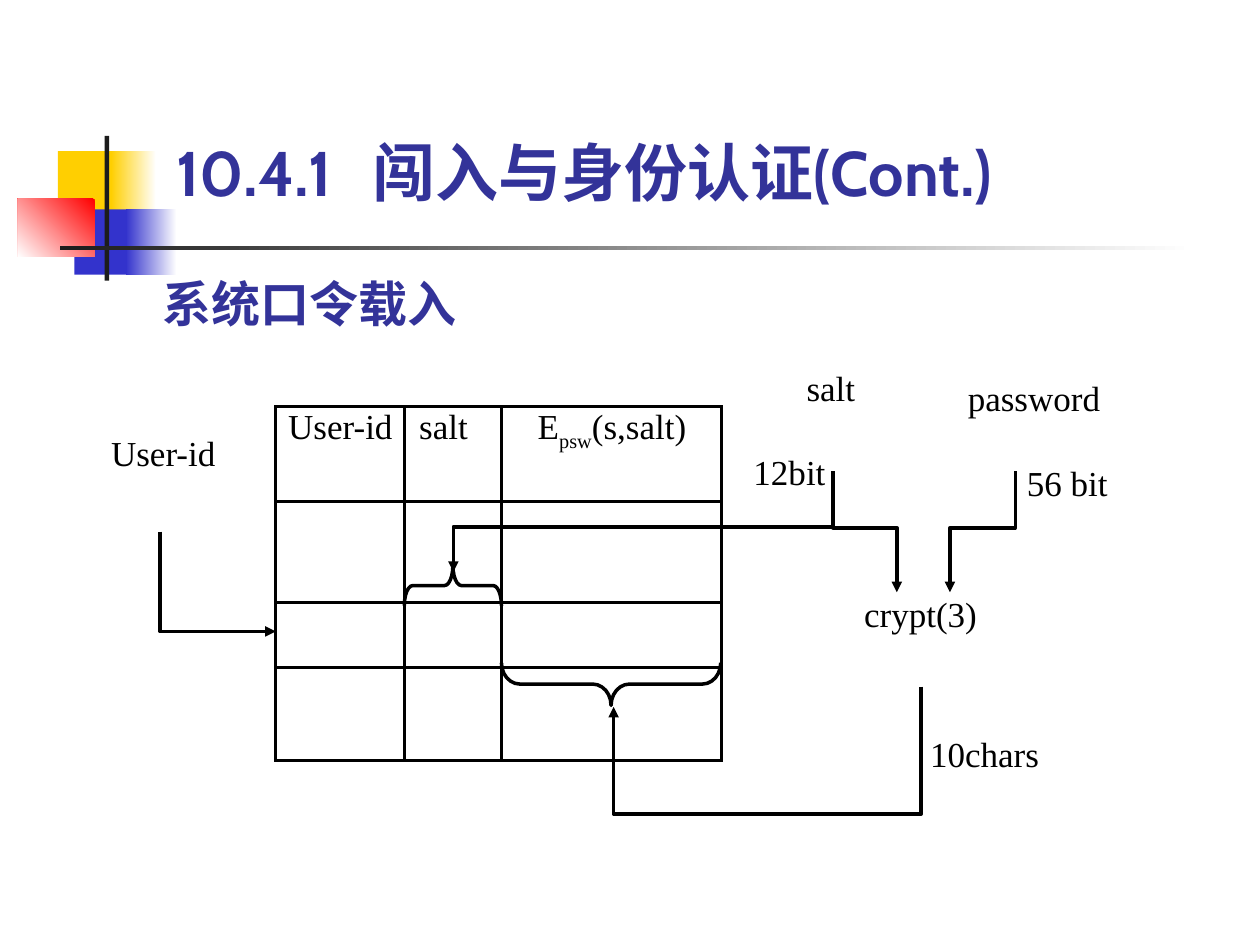
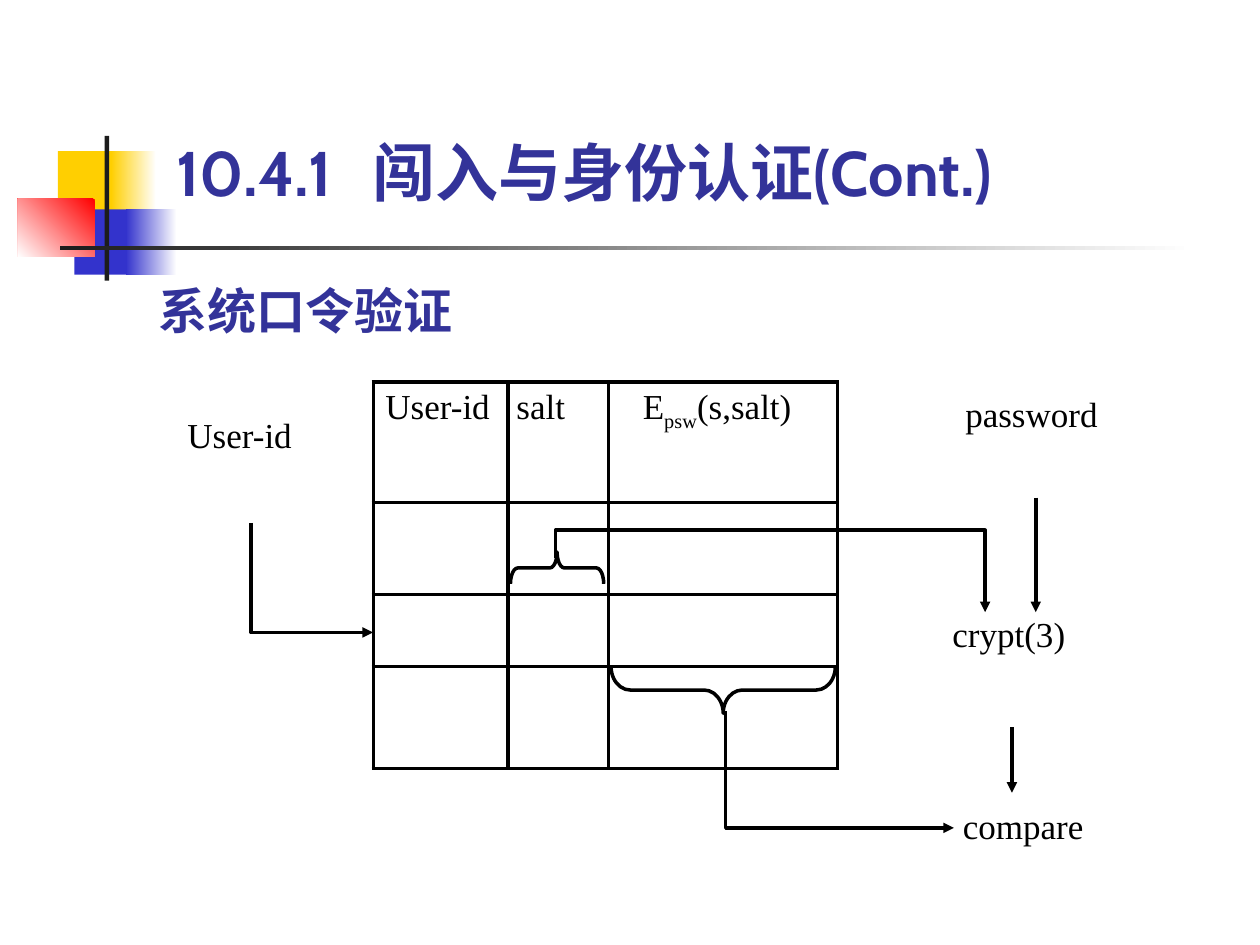
import itertools

import lxml.etree
import pptx
import pptx.dml.color
import pptx.enum.shapes
import pptx.enum.text
import pptx.oxml
import pptx.oxml.ns
import pptx.util

Cm = pptx.util.Cm
Pt = pptx.util.Pt
SHAPE = pptx.enum.shapes.MSO_SHAPE
qn = pptx.oxml.ns.qn

COLORS = {
    "yellow": "FFCF01",
    "blue": "3333CC",
    "red": "FF0000",
    "dark": "1C1C1C",
    "white": "FFFFFF",
    "title": "333399",
    "ink": "000000",
}
TITLE_FONT, BODY_FONT = "Cabin", "Times New Roman"
LINE_WIDTH = Pt(2)
LABEL_HEIGHT = 1.6

TITLE = "10.4.1\t闯入与身份认证(Cont.)"
TITLE_BOX = (3.56, 2.36, 18.52, 1.85)
TITLE_TAB = 3.95
HEADER = [
    [("User-id", 0)],
    [("salt", 0)],
    [("E", 0), ("psw", -25000), ("(s,salt)", 0)],
]

DECOR = [
    ((1.17, 3.05, 1.22, 1.32), ["yellow"], 0),
    ((2.24, 3.05, 0.91, 1.32), ["white", "yellow"], 180),
    ((1.5, 4.22, 1.17, 1.32), ["blue"], 0),
    ((2.54, 4.22, 1.02, 1.32), ["white", "blue"], 180),
    ((0.36, 4.01, 1.55, 1.17), ["red", "white"], 225),
    ((2.11, 2.74, 0.09, 2.92), ["dark"], 0),
    ((1.22, 4.95, 22.86, 0.1), ["white", "dark"], 180),
]

SLIDES = [
    {
        "heading": ("系统口令载入", (3.28, 5.51, 6.91, 1.19)),
        "columns": [5.56, 8.15, 10.11, 14.55],
        "rows": [8.2, 10.11, 12.14, 13.46, 15.34],
        "indents": [0.25, 0.3, 0.73],
        "top_margin": 0.03,
        "labels": [
            ("User-id", 2.24, 8.69, 2.18),
            ("salt", 16.26, 7.39, 1.17),
            ("password", 19.51, 7.59, 2.97),
            ("12bit", 15.19, 9.09, 1.73),
            ("56 bit", 20.7, 9.3, 2.08),
            ("crypt(3)", 17.42, 11.94, 2.41),
            ("10chars", 18.75, 14.76, 2.84),
        ],
        "braces": [
            ((8.15, 11.4, 1.96, 0.81), 90, 0.21),
            ((10.11, 13.36, 4.42, 0.86), 270, 0.43),
        ],
        "arrows": [
            [(16.79, 9.5), (16.79, 10.64), (18.08, 10.64), (18.08, 11.94)],
            [(20.47, 9.5), (20.47, 10.64), (19.15, 10.64), (19.15, 11.94)],
            [(16.79, 10.62), (9.14, 10.62), (9.14, 11.53)],
            [(18.57, 13.84), (18.57, 16.41), (12.37, 16.41), (12.37, 14.25)],
            [(3.23, 10.72), (3.23, 12.73), (5.56, 12.73)],
        ],
    },
    {
        "heading": ("系统口令验证", (3.2, 5.66, 7.32, 1.19)),
        "columns": [7.52, 10.24, 12.27, 16.89],
        "rows": [7.7, 10.13, 11.99, 13.44, 15.49],
        "indents": [0.25, 0.17, 0.69],
        "top_margin": 0.13,
        "labels": [
            ("User-id", 3.78, 8.33, 2.6),
            ("password", 19.46, 7.92, 2.87),
            ("crypt(3)", 19.2, 12.34, 2.54),
            ("compare", 19.41, 16.21, 2.79),
        ],
        "braces": [
            ((10.29, 11.13, 1.88, 0.64), 90, 0.23),
            ((12.32, 13.44, 4.52, 0.94), 270, 0.41),
        ],
        "arrows": [
            [(11.2, 11.25), (11.2, 10.69), (19.86, 10.69), (19.86, 12.34)],
            [(20.88, 10.03), (20.88, 12.34)],
            [(20.4, 14.66), (20.4, 15.98)],
            [(14.63, 14.33), (14.63, 16.69), (19.23, 16.69)],
            [(5.06, 10.54), (5.06, 12.75), (7.52, 12.75)],
        ],
    },
]


def rgb(name):
    return pptx.dml.color.RGBColor.from_string(COLORS[name])


def set_font(p, name, size, color, bold=False):
    p.font.name = name
    p.font.size = Pt(size)
    p.font.bold = bold
    p.font.color.rgb = rgb(color)


def add_text(slide, text, box, font, size, color, bold=False, anchor="TOP", tab=None):
    tf = slide.shapes.add_textbox(*map(Cm, box)).text_frame
    tf.word_wrap = True
    tf.margin_left = tf.margin_right = tf.margin_top = tf.margin_bottom = 0
    tf.vertical_anchor = pptx.enum.text.MSO_ANCHOR[anchor]
    p = tf.paragraphs[0]
    p.text = text
    if tab:
        tabs = lxml.etree.SubElement(p._p.get_or_add_pPr(), qn("a:tabLst"))
        lxml.etree.SubElement(tabs, qn("a:tab"), pos=str(Cm(tab)), algn="l")
    set_font(p, font, size, color, bold)


def add_decor(slide):
    for box, names, angle in DECOR:
        sp = slide.shapes.add_shape(SHAPE.RECTANGLE, *map(Cm, box))
        sp.shadow.inherit = False
        sp.line.fill.background()
        if len(names) == 1:
            sp.fill.solid()
            sp.fill.fore_color.rgb = rgb(names[0])
        else:
            sp.fill.gradient()
            sp.fill.gradient_angle = angle
            for stop, name in zip(sp.fill.gradient_stops, names):
                stop.color.rgb = rgb(name)


def add_borders(cell):
    tcPr = cell._tc.get_or_add_tcPr()
    for i, side in enumerate("LRTB"):
        ln = lxml.etree.Element(qn(f"a:ln{side}"), w=str(LINE_WIDTH))
        fill = lxml.etree.SubElement(ln, qn("a:solidFill"))
        lxml.etree.SubElement(fill, qn("a:srgbClr"), val=COLORS["ink"])
        tcPr.insert(i, ln)


def add_password_table(slide, data):
    xs, ys = data["columns"], data["rows"]
    box = (xs[0], ys[0], xs[-1] - xs[0], ys[-1] - ys[0])
    table = slide.shapes.add_table(len(ys) - 1, len(xs) - 1, *map(Cm, box)).table
    table.first_row = table.horz_banding = False
    for column, (a, b) in zip(table.columns, itertools.pairwise(xs)):
        column.width = Cm(b - a)
    for row, (a, b) in zip(table.rows, itertools.pairwise(ys)):
        row.height = Cm(b - a)
    for cell in table.iter_cells():
        cell.fill.background()
        add_borders(cell)
    for i, (runs, indent) in enumerate(zip(HEADER, data["indents"])):
        cell = table.cell(0, i)
        cell.margin_left, cell.margin_right = Cm(indent), 0
        cell.margin_top = Cm(data["top_margin"])
        p = cell.text_frame.paragraphs[0]
        for text, baseline in runs:
            r = p.add_run()
            r.text = text
            if baseline:
                r._r.get_or_add_rPr().set("baseline", str(baseline))
        set_font(p, BODY_FONT, 20, "ink")


def set_line(sp):
    sp.line.color.rgb = rgb("ink")
    sp.line.width = LINE_WIDTH


def add_brace(slide, box, rotation, curve):
    x, y, span, depth = box
    left, top = x + (span - depth) / 2, y + (depth - span) / 2
    sp = slide.shapes.add_shape(SHAPE.LEFT_BRACE, *map(Cm, (left, top, depth, span)))
    sp.rotation = rotation
    sp.adjustments[0] = curve
    sp.shadow.inherit = False
    sp.fill.background()
    set_line(sp)


def add_arrow(slide, points):
    pts = [(Cm(x), Cm(y)) for x, y in points]
    if len(pts) == 2:
        kind = pptx.enum.shapes.MSO_CONNECTOR.STRAIGHT
        sp = slide.shapes.add_connector(kind, *pts[0], *pts[1])
        set_line(sp)
        lxml.etree.SubElement(sp._element.spPr, qn("a:effectLst"))
    else:
        builder = slide.shapes.build_freeform(*pts[0])
        builder.add_line_segments(pts[1:], close=False)
        sp = builder.convert_to_shape()
        sp.shadow.inherit = False
        sp.fill.background()
        set_line(sp)
    lxml.etree.SubElement(sp.line._get_or_add_ln(), qn("a:tailEnd"), type="triangle")


def add_slide(prs, data):
    slide = prs.slides.add_slide(prs.slide_layouts[6])
    add_decor(slide)
    add_text(slide, TITLE, TITLE_BOX, TITLE_FONT, 36, "title", True, "BOTTOM", TITLE_TAB)
    text, box = data["heading"]
    add_text(slide, text, box, TITLE_FONT, 28, "title", True)
    add_password_table(slide, data)
    for brace in data["braces"]:
        add_brace(slide, *brace)
    for points in data["arrows"]:
        add_arrow(slide, points)
    for text, x, y, width in data["labels"]:
        add_text(slide, text, (x, y, width, LABEL_HEIGHT), BODY_FONT, 20, "ink")


def main():
    prs = pptx.Presentation()
    prs.slide_width, prs.slide_height = Cm(25.4), Cm(19.05)
    for data in SLIDES:
        add_slide(prs, data)
    prs.save("out.pptx")


if __name__ == "__main__":
    main()
